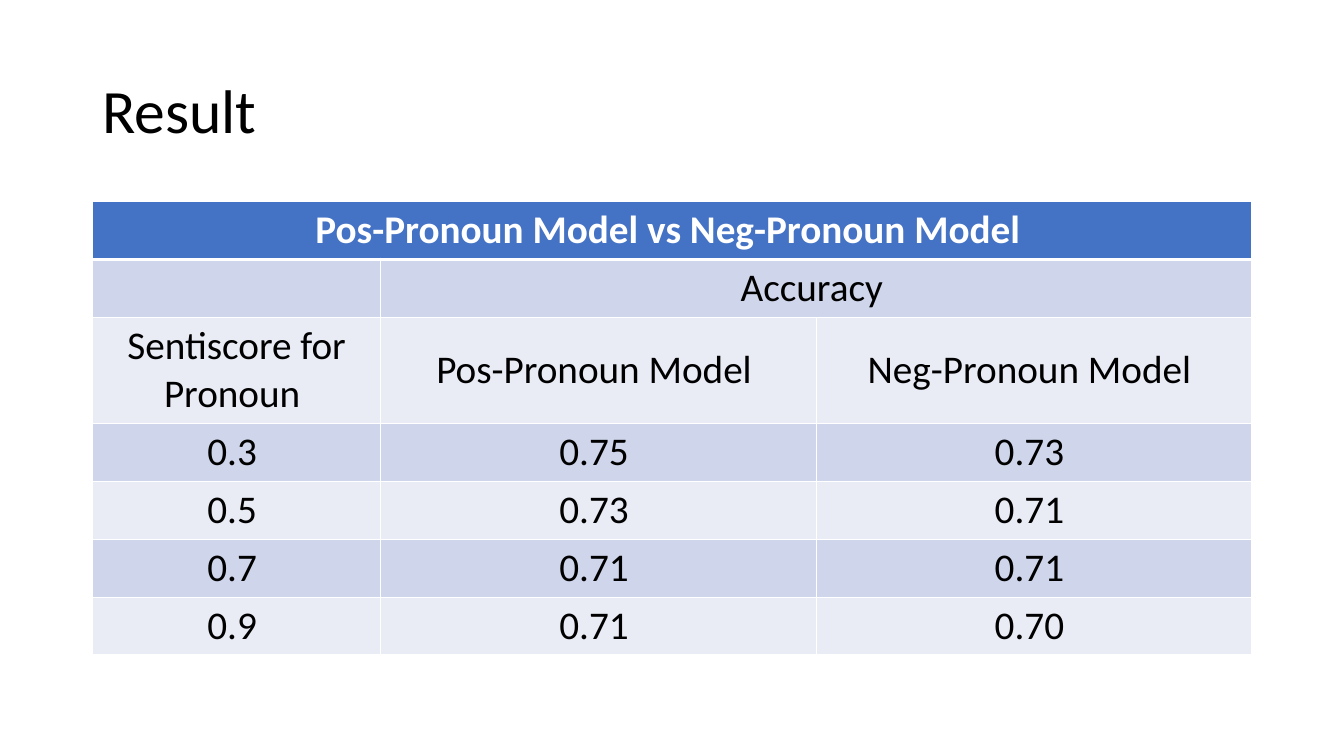
import dataclasses

import pptx
import pptx.dml.color
import pptx.enum.text
import pptx.oxml
import pptx.oxml.ns
import pptx.util

Pt = pptx.util.Pt
PP_ALIGN = pptx.enum.text.PP_ALIGN
MIDDLE = pptx.enum.text.MSO_ANCHOR.MIDDLE


@dataclasses.dataclass(frozen=True)
class Theme:
    font: str = "Calibri"
    black: str = "000000"
    white: str = "FFFFFF"
    header: str = "4472C4"
    bands: tuple = ("E9EBF5", "CFD5EA")
    title_size: int = 44
    table_size: int = 28
    thin_border: int = 1
    header_border: int = 3


THEME = Theme()
LEFT, WIDTH = 66, 828
COLUMN_WIDTHS = (206, 311, 311)
ROW_HEIGHT, TALL_ROW_HEIGHT = 41.4, 75.6
LABEL_ROW = 2
# Every table text ends in a no-break space
NBSP = " "

ROWS = (
    ("Pos-Pronoun Model vs Neg-Pronoun Model", "", ""),
    ("", "Accuracy", ""),
    (f"Sentiscore{NBSP}for Pronoun", "Pos-Pronoun Model", "Neg-Pronoun Model"),
    ("0.3", "0.75", "0.73"),
    ("0.5", "0.73", "0.71"),
    ("0.7", "0.71", "0.71"),
    ("0.9", "0.71", "0.70"),
)


def rgb(color):
    return pptx.dml.color.RGBColor.from_string(color)


def write(frame, text, *, size, color=THEME.black, bold=False,
          align=PP_ALIGN.LEFT, line_spacing=None):
    """Put one formatted paragraph into a text frame."""
    para = frame.paragraphs[0]
    para.alignment = align
    para.line_spacing = line_spacing
    span = para.add_run()
    span.text = text
    span.font.name = THEME.font
    span.font.size = Pt(size)
    span.font.bold = bold
    span.font.color.rgb = rgb(color)


def add_title(page, text):
    box = page.shapes.add_textbox(Pt(LEFT), Pt(28.8), Pt(WIDTH), Pt(104.4))
    box.text_frame.word_wrap = True
    box.text_frame.vertical_anchor = MIDDLE
    write(box.text_frame, text, size=THEME.title_size, line_spacing=0.9)


def set_border(cell, side, width):
    properties = cell._tc.get_or_add_tcPr()
    properties.append(pptx.oxml.parse_xml(
        f'<a:ln{side} {pptx.oxml.ns.nsdecls("a")} w="{Pt(width)}">'
        f'<a:solidFill><a:srgbClr val="{THEME.white}"/></a:solidFill>'
        f'</a:ln{side}>'))


def style_cell(cell, row):
    # Borders: the line below the header is heavier
    heavy_side = {0: "B", 1: "T"}.get(row)
    for side in "LRTB":
        heavy = side == heavy_side
        set_border(cell, side, THEME.header_border if heavy else THEME.thin_border)
    # Fill
    cell.fill.solid()
    cell.fill.fore_color.rgb = rgb(THEME.bands[row % 2] if row else THEME.header)
    cell.vertical_anchor = MIDDLE


def add_result_table(page, rows):
    heights = [TALL_ROW_HEIGHT if row == LABEL_ROW else ROW_HEIGHT
               for row in range(len(rows))]
    table = page.shapes.add_table(
        len(rows), len(COLUMN_WIDTHS),
        Pt(LEFT), Pt(144), Pt(WIDTH), Pt(sum(heights))).table

    # Grid
    for column, width in zip(table.columns, COLUMN_WIDTHS):
        column.width = Pt(width)
    for line, height in zip(table.rows, heights):
        line.height = Pt(height)
    table.cell(0, 0).merge(table.cell(0, 2))
    table.cell(1, 1).merge(table.cell(1, 2))

    # Cells
    for row, texts in enumerate(rows):
        for column, text in enumerate(texts):
            cell = table.cell(row, column)
            style_cell(cell, row)
            if text:
                write(cell.text_frame, text + NBSP, size=THEME.table_size,
                      color=THEME.black if row else THEME.white,
                      bold=row == 0, align=PP_ALIGN.CENTER)


def main():
    deck = pptx.Presentation()
    deck.slide_width, deck.slide_height = Pt(960), Pt(540)
    page = deck.slides.add_slide(deck.slide_layouts[6])
    add_title(page, "Result")
    add_result_table(page, ROWS)
    deck.save("out.pptx")


if __name__ == "__main__":
    main()
